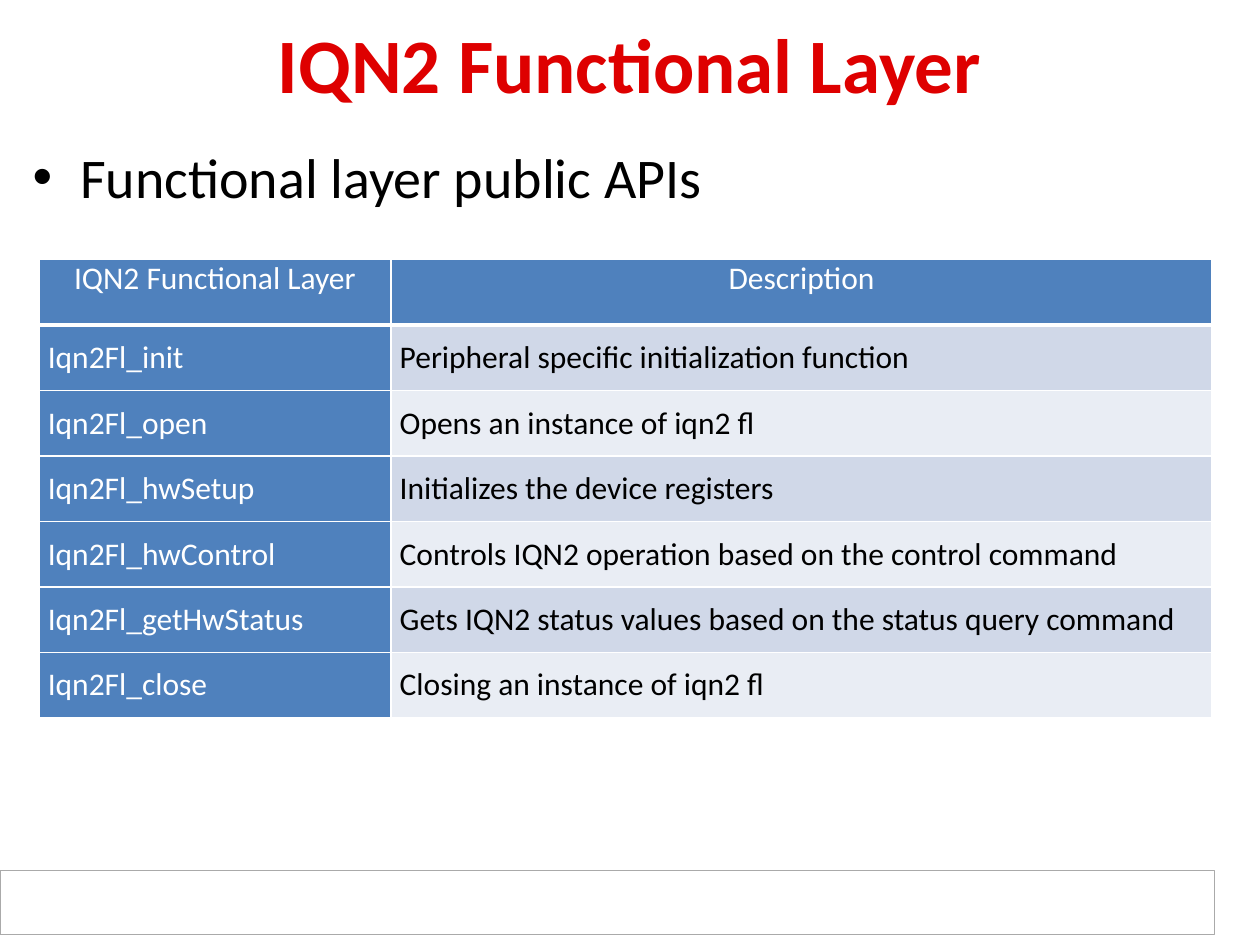
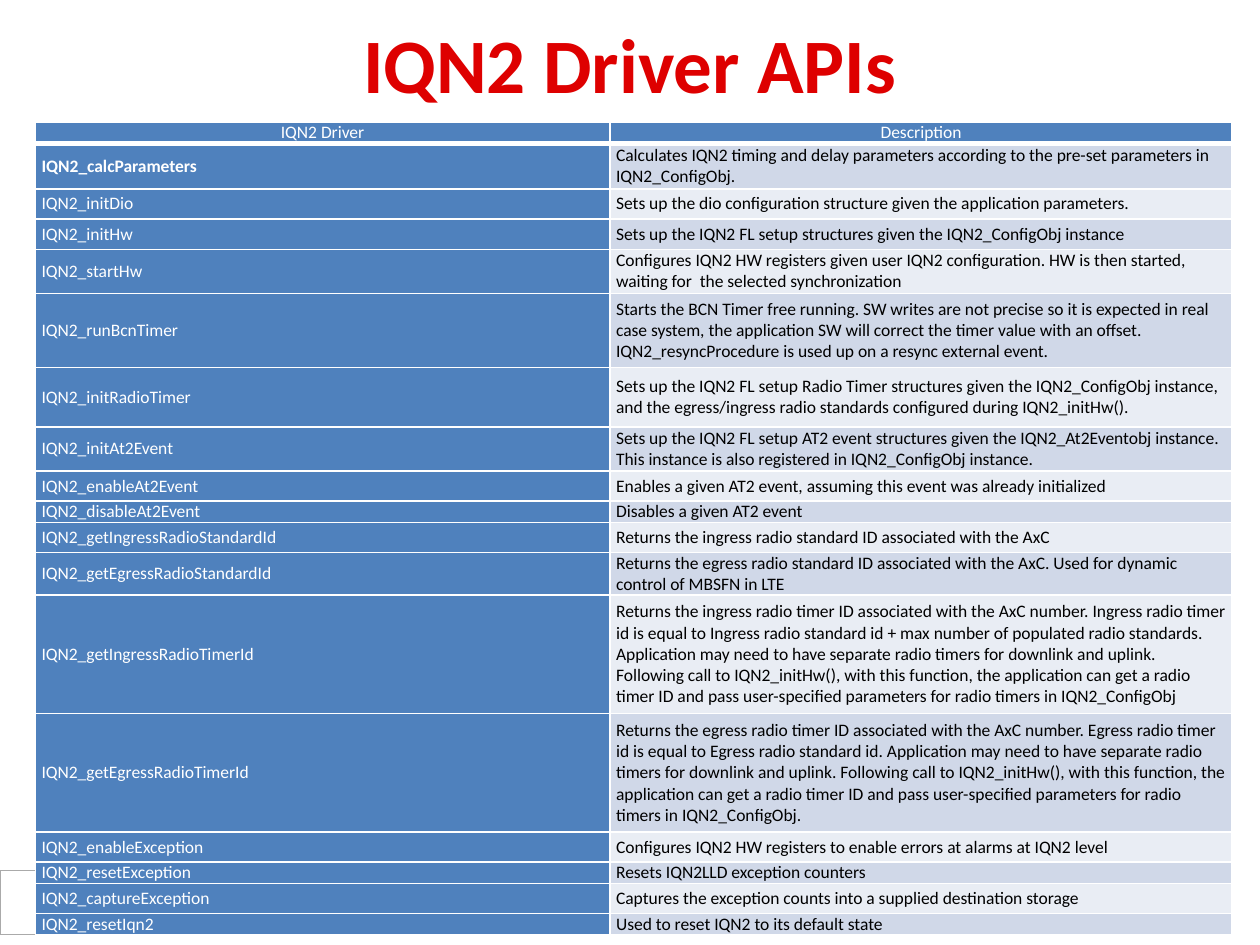
from lxml.etree import SubElement
from pptx import Presentation
from pptx.dml.color import RGBColor
from pptx.enum.shapes import MSO_SHAPE
from pptx.enum.text import MSO_ANCHOR, MSO_AUTO_SIZE, PP_ALIGN
from pptx.oxml.ns import qn
from pptx.util import Inches, Pt

UNIT = Inches(0.1)
COLORS = {
    "title": "DE0000", "text": "000000", "white": "FFFFFF", "footer_line": "AAAAAA",
    "header": "4F81BD", "odd": "D0D8E8", "even": "E9EDF4",
}
TITLE_BOX = (5, 0.8, 90, 8.3)
BODY_BOX = (1.6, 10.8, 97.4, 13.4)
FOOTER_BOX = (0, 69.1, 96.4, 5.1)
LAYOUT_WITH_BODY, LAYOUT_TITLE_ONLY = 1, 5

LAYER_ROWS = [
    ("IQN2 Functional Layer", "Description"),
    ("Iqn2Fl_init", "Peripheral specific initialization function"),
    ("Iqn2Fl_open", "Opens an instance of iqn2 fl"),
    ("Iqn2Fl_hwSetup", "Initializes the device registers"),
    ("Iqn2Fl_hwControl", "Controls IQN2 operation based on the control command"),
    ("Iqn2Fl_getHwStatus", "Gets IQN2 status values based on the status query command"),
    ("Iqn2Fl_close", "Closing an instance of iqn2 fl"),
]
DRIVER_ROWS = [
    ("IQN2 Driver", "Description"),
    ("IQN2_calcParameters", "Calculates IQN2 timing and delay parameters according to the "
     "pre-set parameters in IQN2_ConfigObj."),
    ("IQN2_initDio", "Sets up the dio configuration structure given the application parameters."),
    ("IQN2_initHw", "Sets up the IQN2 FL setup structures given the IQN2_ConfigObj instance"),
    ("IQN2_startHw", "Configures IQN2 HW registers given user IQN2 configuration. HW is then "
     "started, waiting for  the selected synchronization"),
    ("IQN2_runBcnTimer", "Starts the BCN Timer free running. SW writes are not precise so it is "
     "expected in real case system, the application SW will correct the timer value with an "
     "offset. IQN2_resyncProcedure is used up on a resync external event."),
    ("IQN2_initRadioTimer", "Sets up the IQN2 FL setup Radio Timer structures given the "
     "IQN2_ConfigObj instance, and the egress/ingress radio standards configured during "
     "IQN2_initHw()."),
    ("IQN2_initAt2Event", "Sets up the IQN2 FL setup AT2 event structures given the "
     "IQN2_At2Eventobj instance. This instance is also registered in IQN2_ConfigObj instance."),
    ("IQN2_enableAt2Event", "Enables a given AT2 event, assuming this event was already "
     "initialized"),
    ("IQN2_disableAt2Event", "Disables a given AT2 event"),
    ("IQN2_getIngressRadioStandardId", "Returns the ingress radio standard ID associated with "
     "the AxC"),
    ("IQN2_getEgressRadioStandardId", "Returns the egress radio standard ID associated with the "
     "AxC. Used for dynamic control of MBSFN in LTE"),
    ("IQN2_getIngressRadioTimerId", "Returns the ingress radio timer ID associated with the AxC "
     "number. Ingress radio timer id is equal to Ingress radio standard id + max number of "
     "populated radio standards. Application may need to have separate radio timers for downlink "
     "and uplink. Following call to IQN2_initHw(), with this function, the application can get a "
     "radio timer ID and pass user-specified parameters for radio timers in IQN2_ConfigObj"),
    ("IQN2_getEgressRadioTimerId", "Returns the egress radio timer ID associated with the AxC "
     "number. Egress radio timer id is equal to Egress radio standard id. Application may need "
     "to have separate radio timers for downlink and uplink. Following call to IQN2_initHw(), "
     "with this function, the application can get a radio timer ID and pass user-specified "
     "parameters for radio timers in IQN2_ConfigObj."),
    ("IQN2_enableException", "Configures IQN2 HW registers to enable errors at alarms at IQN2 "
     "level"),
    ("IQN2_resetException", "Resets IQN2LLD exception counters"),
    ("IQN2_captureException", "Captures the exception counts into a supplied destination storage"),
    ("IQN2_resetIqn2", "Used to reset IQN2 to its default state"),
]
LAYER_TABLE = {"box": (3.1, 20.6, 93.1, 36.3), "name_share": 0.3, "size": 18, "inset": 0.07,
               "heights": [5.2] * len(LAYER_ROWS), "bold_names": ()}
DRIVER_TABLE = {"box": (2.8, 9.7, 95, 64.3), "name_share": 0.48, "size": 10, "inset": 0.05,
                "heights": [1.4, 3.6, 2.4, 2.4, 3.5, 5.9, 4.7, 3.5, 2.4, 1.4, 2.4, 2.4,
                            9.4, 9.4, 2.4, 1.4, 2.4, 1.4],
                "bold_names": ("IQN2_calcParameters",)}


def rgb(name):
    """Return the named colour."""
    return RGBColor.from_string(COLORS[name])


def lengths(box):
    """Turn grid units into slide lengths."""
    return [round(n * UNIT) for n in box]


def assign(obj, values):
    """Set each attribute in a dict of format values."""
    for name, value in values.items():
        setattr(obj, name, value)


def write(tf, text, size, color, bold=False, **paragraph):
    """Write one formatted paragraph into a text frame."""
    p = tf.paragraphs[0]
    assign(p, paragraph)
    r = p.add_run()
    r.text = text
    assign(r.font, {"name": "Calibri", "size": Pt(size), "bold": bold})
    r.font.color.rgb = rgb(color)


def fill_placeholder(sp, box, text, size, color, **formats):
    """Move a placeholder to its box and write its text."""
    assign(sp, dict(zip(("left", "top", "width", "height"), lengths(box))))
    sp.text_frame.auto_size = MSO_AUTO_SIZE.NONE
    write(sp.text_frame, text, size, color, **formats)


def add_titled_slide(prs, layout, title):
    """Add a slide with the shared title style."""
    s = prs.slides.add_slide(prs.slide_layouts[layout])
    fill_placeholder(s.shapes.title, TITLE_BOX, title, 44, "title", bold=True,
                     alignment=PP_ALIGN.CENTER)
    return s


def add_footer_band(prs, s):
    """Draw the footer band and hand it to the slide master."""
    sp = s.shapes.add_shape(MSO_SHAPE.RECTANGLE, *lengths(FOOTER_BOX))
    sp.shadow.inherit = False
    sp.fill.solid()
    sp.fill.fore_color.rgb = rgb("white")
    sp.line.color.rgb = rgb("footer_line")
    sp.line.width = Pt(0.75)
    prs.slide_master.shapes.element.insert(2, sp.element)


def add_borders(cell, is_header):
    """Give a cell white borders, heavier below the header."""
    tc_pr = cell._tc.get_or_add_tcPr()
    for side in "LRTB":
        width = Pt(3 if is_header and side == "B" else 1)
        ln = SubElement(tc_pr, qn(f"a:ln{side}"), w=str(width))
        fill = SubElement(ln, qn("a:solidFill"))
        SubElement(fill, qn("a:srgbClr"), val=COLORS["white"])


def fill_cell(cell, text, row, col, style):
    """Format one cell according to its row and column."""
    is_header = row == 0
    is_label = is_header or col == 0
    inset = Inches(style["inset"])
    assign(cell, {"margin_left": inset, "margin_right": inset, "margin_top": 0,
                  "margin_bottom": 0,
                  "vertical_anchor": MSO_ANCHOR.TOP if is_header else MSO_ANCHOR.MIDDLE})
    add_borders(cell, is_header)
    cell.fill.solid()
    cell.fill.fore_color.rgb = rgb("header" if is_label else "odd" if row % 2 else "even")
    write(cell.text_frame, text, style["size"], "white" if is_label else "text",
          bold=text in style["bold_names"],
          alignment=PP_ALIGN.CENTER if is_header else PP_ALIGN.LEFT,
          space_before=Pt(9 if is_label else 0))


def add_api_table(s, rows, style):
    """Add a two-column table of functions and descriptions."""
    left, top, width, height = lengths(style["box"])
    table = s.shapes.add_table(len(rows), 2, left, top, width, height).table
    name_width = round(width * style["name_share"])
    table.columns[0].width, table.columns[1].width = name_width, width - name_width
    for i, (texts, row_height) in enumerate(zip(rows, style["heights"])):
        table.rows[i].height = round(row_height * UNIT)
        for j, text in enumerate(texts):
            fill_cell(table.cell(i, j), text, i, j, style)


def add_layer_slide(prs):
    """Build the functional layer slide."""
    s = add_titled_slide(prs, LAYOUT_WITH_BODY, "IQN2 Functional Layer")
    fill_placeholder(s.placeholders[1], BODY_BOX, "Functional layer public APIs", 32, "text")
    add_api_table(s, LAYER_ROWS, LAYER_TABLE)
    return s


def add_driver_slide(prs):
    """Build the driver slide."""
    s = add_titled_slide(prs, LAYOUT_TITLE_ONLY, "IQN2 Driver APIs")
    add_api_table(s, DRIVER_ROWS, DRIVER_TABLE)


def main():
    """Build and save the presentation."""
    prs = Presentation()
    prs.slide_width, prs.slide_height = 100 * UNIT, 75 * UNIT
    add_footer_band(prs, add_layer_slide(prs))
    add_driver_slide(prs)
    prs.save("out.pptx")


if __name__ == "__main__":
    main()
